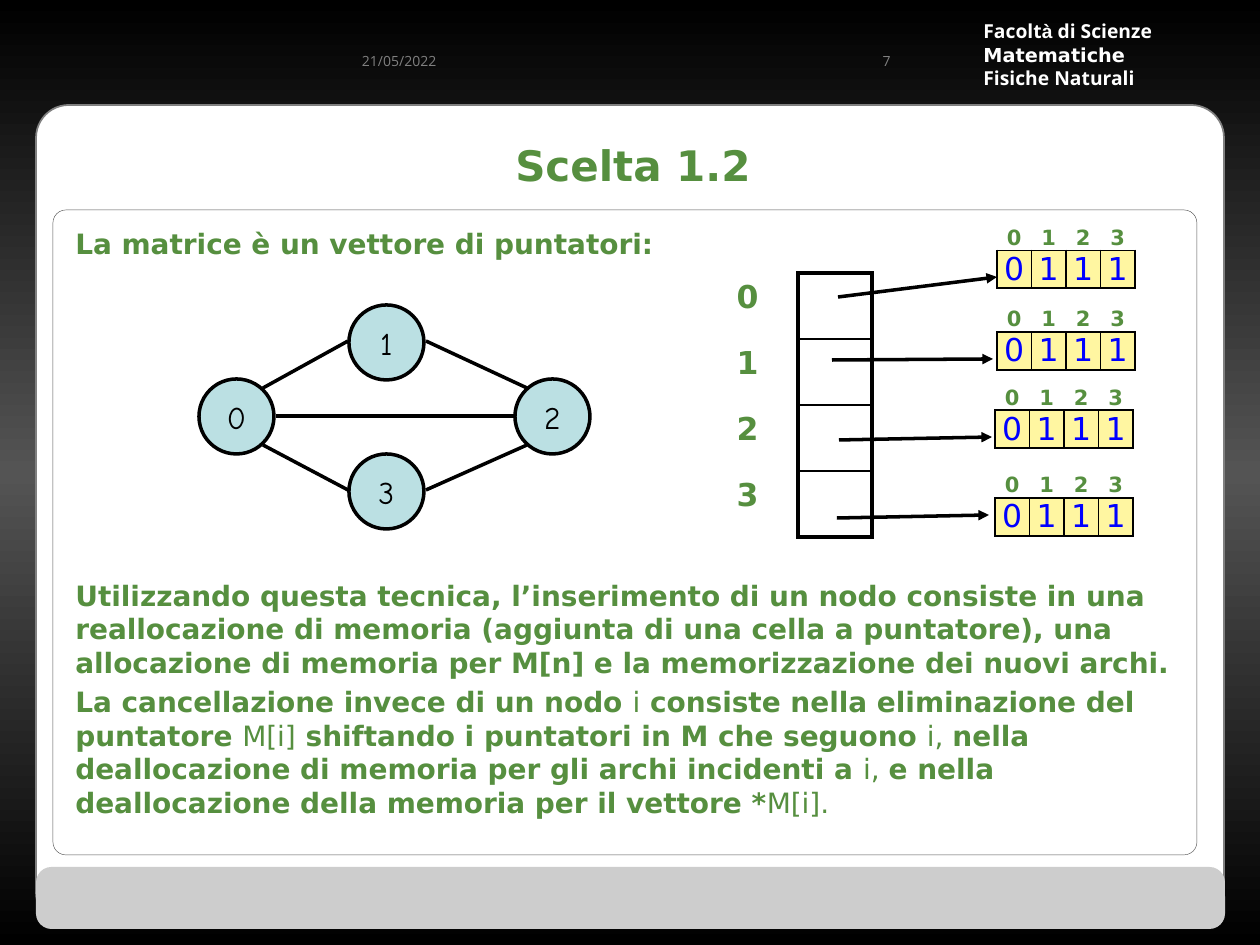
"""Build the slide on a graph stored as a vector of pointers."""
from copy import deepcopy

from lxml.etree import SubElement
from pptx import Presentation
from pptx.dml.color import RGBColor
from pptx.enum.shapes import MSO_CONNECTOR, MSO_SHAPE
from pptx.enum.text import MSO_ANCHOR, PP_ALIGN
from pptx.oxml.ns import qn
from pptx.util import Pt

PX = 914400 / 126
HUES = {"black": "000000", "dark": "545454", "grey": "808080", "pale": "CDCDCD",
        "white": "FFFFFF", "green": "568F3F", "node": "BBE0E3",
        "cell": "FFF6A1", "blue": "0000FF"}
SANS, OPEN, COMIC = "DejaVu Sans", "Open Sans", "Comic Neue"
PLAIN = "{2D5ABB26-0587-4C30-8999-92F81FD0307C}"

TITLE = "Scelta 1.2"
SCHOOL = [[("Facolt", OPEN), ("à", "Arial"), (" di Scienze", OPEN)],
          [("Matematiche", SANS)], [("Fisiche Naturali", OPEN)]]
NOTES = [("21/05/2022", (315, 29, 134, 63)), ("7", (809, 29, 94, 63))]
BODY = [
    (0, ["La matrice è un vettore di puntatori:"]),
    (182, ["Utilizzando questa tecnica, l’inserimento di un nodo consiste in una "
           "reallocazione di memoria (aggiunta di una cella a puntatore), una "
           "allocazione di memoria per M[n] e la memorizzazione dei nuovi archi."]),
    (3.2, ["La cancellazione invece di un nodo ", "i",
           " consiste nella eliminazione del puntatore ", "M[i]",
           " shiftando i puntatori in M che seguono ", "i, ",
           "nella deallocazione di memoria per gli archi incidenti a ", "i, ",
           "e nella deallocazione della memoria per il vettore *", "M[i]."]),
]
NODES = [("0", 199, 379), ("1", 349, 305), ("3", 349, 454), ("2", 515, 379)]
EDGES = [(263, 388, 348, 341), (426, 341, 527, 388), (263, 445, 348, 490),
         (426, 490, 527, 445), (276, 416, 514, 416)]
LINKS = [(838, 297, 997, 277), (832, 360, 993, 359),
         (839, 440, 992, 437), (837, 518, 989, 515)]
INDEX = ["0", "1", "2", "3"]
VALUES = ["0", "1", "1", "1"]
ROWS = [(997, 225, 25), (997, 293, 39), (995, 385, 25), (995, 456, 42)]


def px(*vals):
    return [round(v * PX) for v in vals]


def rgb(name):
    return RGBColor.from_string(HUES[name])


def put(item, **vals):
    for key, val in vals.items():
        setattr(item, key, val)


def write(para, text, face, size, hue, bold=False):
    font = para.add_run().font
    para.runs[-1].text = text
    put(font, name=face, size=Pt(size), bold=bold)
    font.color.rgb = rgb(hue)


def box(slide, area, anchor=MSO_ANCHOR.MIDDLE):
    frame = slide.shapes.add_textbox(*px(*area)).text_frame
    put(frame, word_wrap=True, vertical_anchor=anchor)
    return frame


def paras(frame, items):
    for num, item in enumerate(items):
        yield (frame.add_paragraph() if num else frame.paragraphs[0]), item


def shape(slide, kind, area, fill=None, line=None, width=1, round_by=None):
    item = slide.shapes.add_shape(kind, *px(*area))
    item.shadow.inherit = False
    if round_by:
        item.adjustments[0] = round_by
    for part, hue in ((item.fill, fill), (item.line.fill, line)):
        if hue:
            part.solid()
            part.fore_color.rgb = rgb(hue)
        else:
            part.background()
    if line:
        item.line.width = Pt(width)
    return item


def join(slide, ends, arrow=False):
    item = slide.shapes.add_connector(MSO_CONNECTOR.STRAIGHT, *px(*ends))
    item.line.color.rgb = rgb("black")
    item.line.width = Pt(2)
    props = item._element.spPr
    if arrow:
        SubElement(props.find(qn("a:ln")), qn("a:tailEnd"), type="triangle")
    SubElement(props, qn("a:effectLst"))


def grid(slide, left, top, wide, highs, count):
    area = px(left, top, wide * count, sum(highs))
    table = slide.shapes.add_table(len(highs), count, *area).table
    put(table, first_row=False, horz_banding=False)
    table._tbl.tblPr.find(qn("a:tableStyleId")).text = PLAIN
    for row, high in zip(table.rows, highs):
        row.height = px(high)[0]
    for col in table.columns:
        col.width = px(wide)[0]
    return table


def edge(cell, **sides):
    for side in "LRTB":
        if side in sides:
            line = SubElement(cell._tc.get_or_add_tcPr(), qn(f"a:ln{side}"),
                              w=str(Pt(sides[side])))
            fill = SubElement(line, qn("a:solidFill"))
            SubElement(fill, qn("a:srgbClr"), val=HUES["black"])


def paint(slide):
    fill = slide.background.fill
    fill.gradient()
    fill.gradient_angle = 90
    stops = slide.element.find(".//" + qn("a:gsLst"))
    stops.insert(1, deepcopy(stops[0]))
    for stop, spot, hue in zip(fill.gradient_stops, (0, 0.5, 1),
                               ("black", "dark", "black")):
        stop.position = spot
        stop.color.rgb = rgb(hue)


def prose(slide):
    for para, runs in paras(box(slide, (971, 28, 231, 53)), SCHOOL):
        para.line_spacing = Pt(13.5)
        for text, face in runs:
            write(para, text, face, 11, "white", True)
    for text, area in NOTES:
        para = box(slide, area).paragraphs[0]
        para.alignment = PP_ALIGN.RIGHT
        write(para, text, OPEN, 8, "grey")
    title = slide.shapes.title
    put(title, **dict(zip(("left", "top", "width", "height"),
                          px(44, 106, 1178, 118))))
    title.text_frame.vertical_anchor = MSO_ANCHOR.MIDDLE
    para = title.text_frame.paragraphs[0]
    para.alignment = PP_ALIGN.CENTER
    write(para, TITLE, SANS, 24, "green", True)
    frame = box(slide, (63, 220, 1134, 624), MSO_ANCHOR.TOP)
    for para, (gap, runs) in paras(frame, BODY):
        para.space_before = Pt(gap)
        for num, text in enumerate(runs):
            write(para, text, SANS, 16, "green", num % 2 == 0)


def graph(slide):
    for text, left, top in NODES:
        node = shape(slide, MSO_SHAPE.OVAL, (left, top, 75, 75), "node", "black", 2)
        put(node.text_frame, vertical_anchor=MSO_ANCHOR.MIDDLE, margin_left=0,
            margin_right=0)
        para = node.text_frame.paragraphs[0]
        para.alignment = PP_ALIGN.CENTER
        write(para, text, COMIC, 18, "black")
    for ends in EDGES:
        join(slide, ends)


def vectors(slide):
    table = grid(slide, 724, 273, 74, [66] * 4, 2)
    for num, text in enumerate(INDEX):
        label, slot = table.rows[num].cells
        write(label.text_frame.paragraphs[0], text, SANS, 18, "green", True)
        edge(label, R=2.25)
        edge(slot, L=2.25, R=2.25, T=1 if num else 2.25, B=1 if num < 3 else 2.25)
    looks = [(INDEX, 12, "green", True, MSO_ANCHOR.BOTTOM),
             (VALUES, 18, "blue", False, MSO_ANCHOR.MIDDLE)]
    for left, top, head in ROWS:
        table = grid(slide, left, top, 34.5, [head, 36], 4)
        for row, (texts, size, hue, bold, anchor) in zip(table.rows, looks):
            for cell, text in zip(row.cells, texts):
                put(cell, vertical_anchor=anchor, margin_left=px(2)[0],
                    margin_right=px(2)[0], margin_top=0, margin_bottom=0)
                para = cell.text_frame.paragraphs[0]
                para.alignment = PP_ALIGN.CENTER
                write(para, text, SANS, size, hue, bold)
                if texts is VALUES:
                    edge(cell, L=1, R=1, T=1, B=1)
                    cell.fill.solid()
                    cell.fill.fore_color.rgb = rgb("cell")
                else:
                    edge(cell, B=1)
    for ends in LINKS:
        join(slide, ends, True)


def main():
    deck = Presentation()
    put(deck, slide_width=px(1260)[0], slide_height=px(945)[0])
    slide = deck.slides.add_slide(deck.slide_layouts[5])
    panel = MSO_SHAPE.ROUNDED_RECTANGLE
    paint(slide)
    shape(slide, panel, (36, 105, 1188, 820), "white", "grey", 1, 0.04)
    shape(slide, panel, (36, 867, 1189, 62), "pale", round_by=0.25)
    tree = slide.shapes._spTree
    tree.append(slide.shapes.title._element)
    prose(slide)
    graph(slide)
    vectors(slide)
    shape(slide, panel, (53, 210, 1144, 645), None, "dark", 0.25, 0.02)
    deck.save("out.pptx")


if __name__ == "__main__":
    main()
